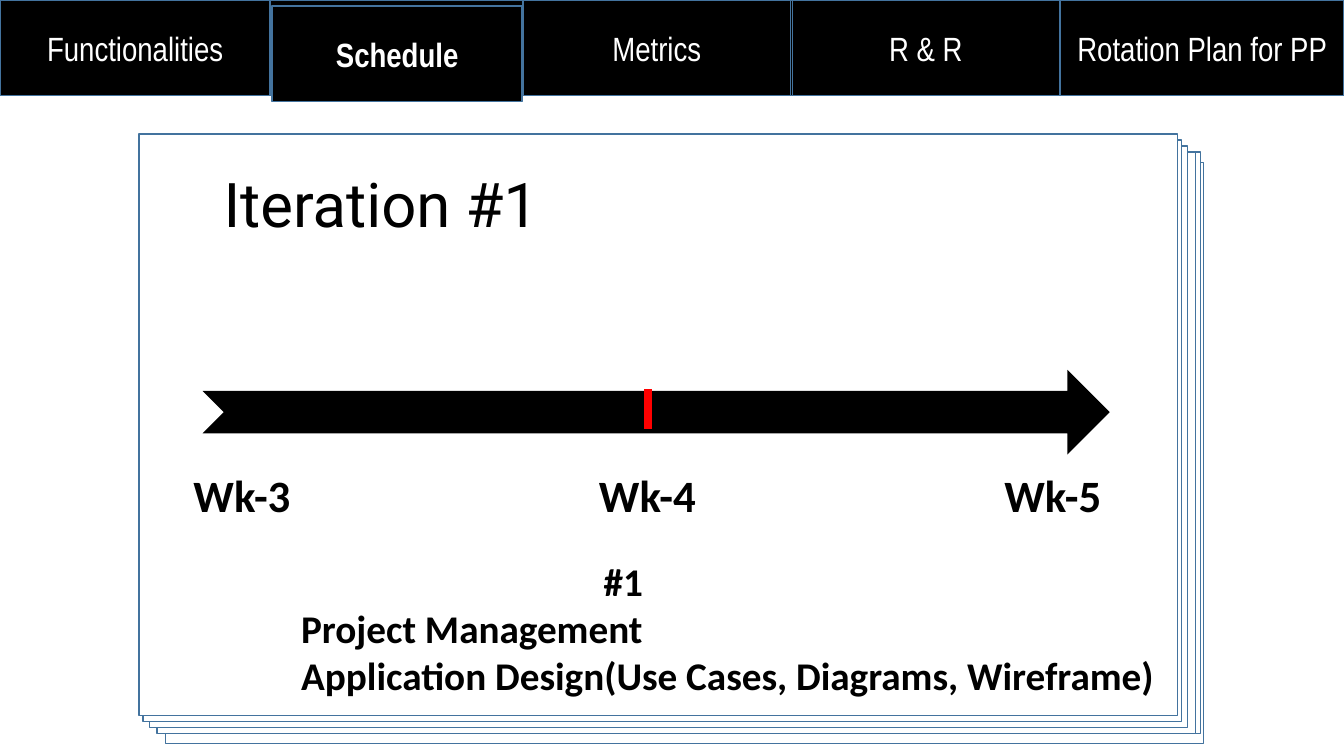
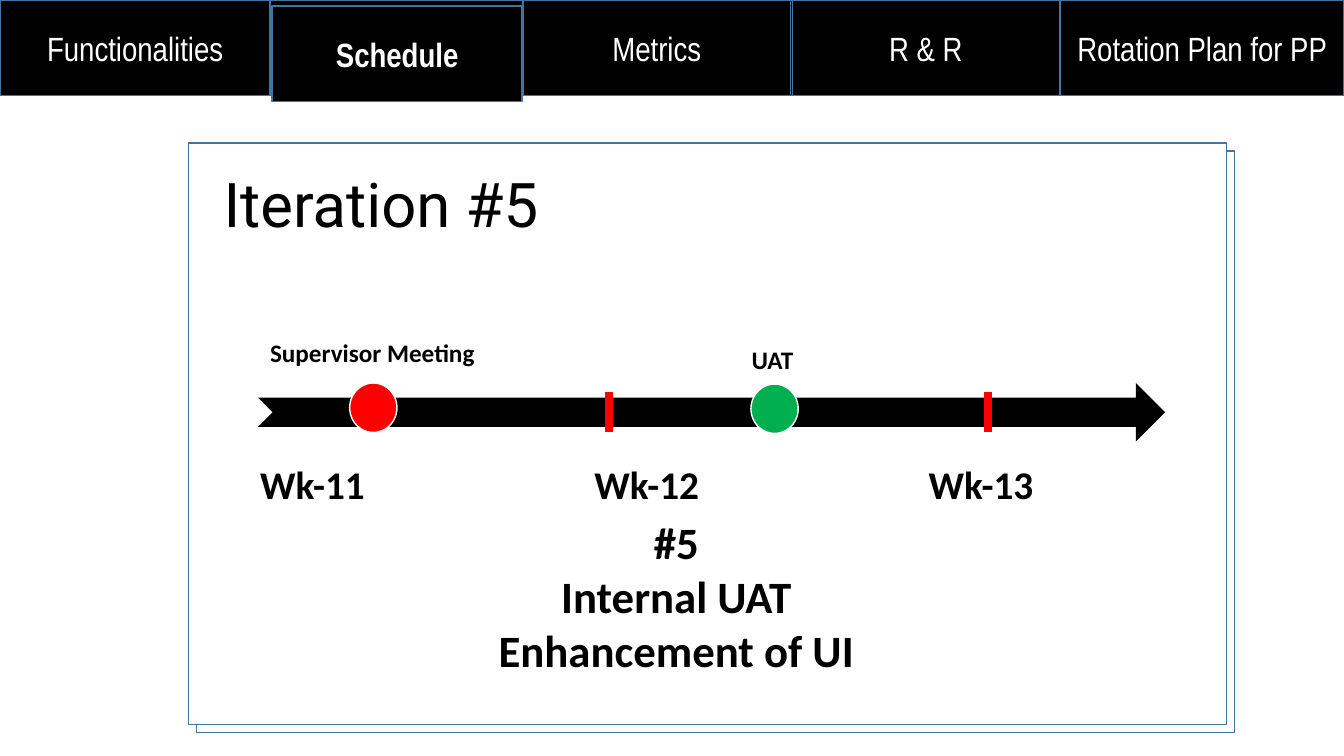
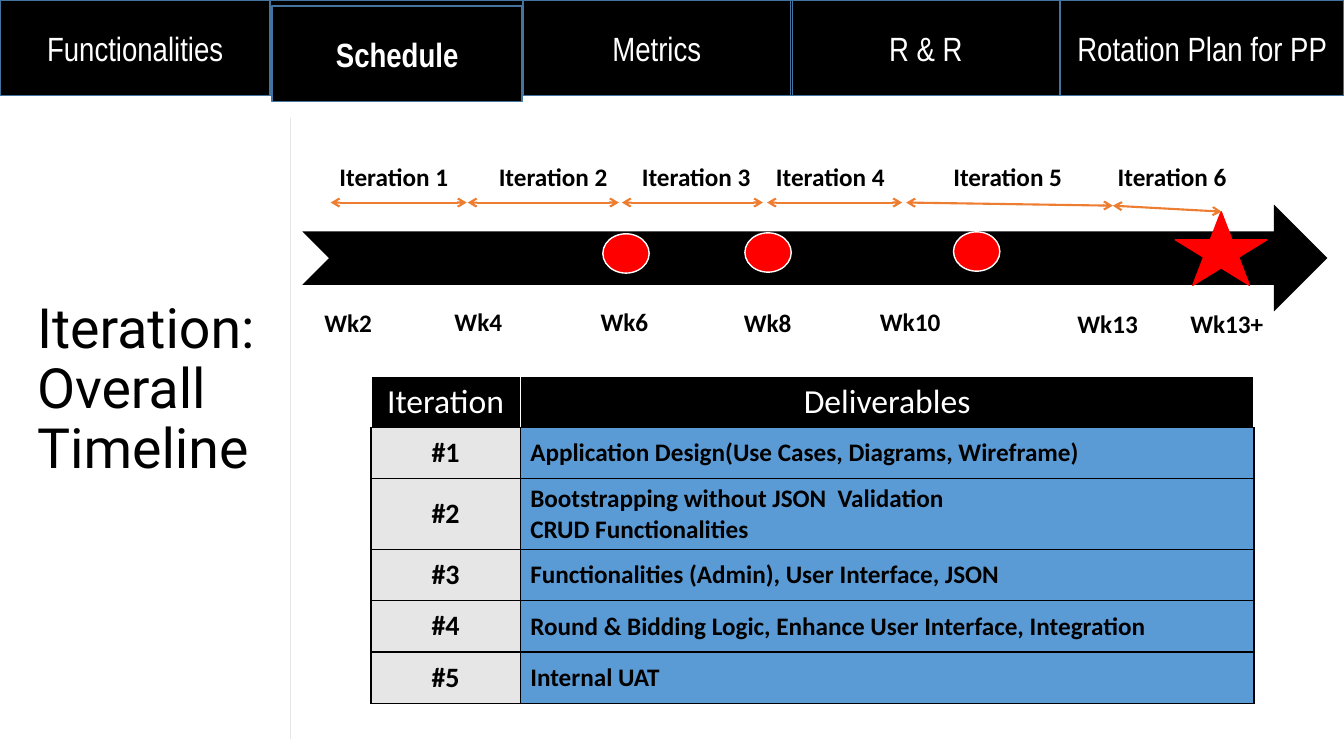
import pptx
import pptx.chart.data
import pptx.dml.color
import pptx.enum.shapes
import pptx.enum.text
import pptx.oxml.ns
import pptx.util
from lxml import etree

Pt = pptx.util.Pt
rgb = pptx.dml.color.RGBColor.from_string
qn = pptx.oxml.ns.qn
SHAPE = pptx.enum.shapes.MSO_SHAPE
ALIGN = pptx.enum.text.PP_ALIGN
ANCHOR = pptx.enum.text.MSO_ANCHOR

BLACK, WHITE, RED, GREEN = "000000", "FFFFFF", "FF0000", "00B050"
OUTLINE, ORANGE, BLUE, GREY = "43739E", "ED7D31", "5B9BD5", "E7E6E6"
BODY = {"name": "Calibri", "bold": True}
HEADING = {"name": "Roboto", "bold": False}
TAB = {"name": "Arial Narrow", "bold": False}


def write(frame, lines, size, style=BODY, color=BLACK, align=ALIGN.LEFT, spacing=None):
    for number, line in enumerate(lines):
        paragraph = frame.add_paragraph() if number else frame.paragraphs[0]
        paragraph.alignment = align
        paragraph.line_spacing = spacing
        run = paragraph.add_run()
        run.text = line
        for key, value in {**style, "size": Pt(size)}.items():
            setattr(run.font, key, value)
        run.font.color.rgb = rgb(color)


def put(slide, kind, box, fill=None, line=None, lines=(), anchor=ANCHOR.TOP, **text):
    place = [Pt(length) for length in box]
    if kind is None:
        shape = slide.shapes.add_textbox(*place)
    else:
        shape = slide.shapes.add_shape(kind, *place)
        shape.shadow.inherit = False
        shape.fill.solid()
        shape.fill.fore_color.rgb = rgb(fill)
        if line:
            shape.line.color.rgb = rgb(line)
            shape.line.width = Pt(1)
        else:
            shape.line.fill.background()
    if lines:
        shape.text_frame.word_wrap = True
        shape.text_frame.vertical_anchor = anchor
        write(shape.text_frame, lines, **text)
    return shape


deck = pptx.Presentation()
deck.slide_width, deck.slide_height = Pt(960), Pt(540)

# Shared parts: stacked cards, navigation band, title
tabs = [
    ("Functionalities", 0, 193),
    ("Schedule", 194.4, 178.6),
    ("Metrics", 373.7, 190.8),
    ("R & R", 565.9, 190.8),
    ("Rotation Plan for PP", 757.4, 202.6),
]
title_box = (152.6, 95.8, 620.6, 104.4)
pages = [
    (["Iteration #1"], title_box, 44,
     [(118.1, 115.9), (115.9, 108.7), (112.3, 108.7),
      (106.6, 104.4), (102.2, 100.1), (99.4, 95.8)]),
    (["Iteration #5"], title_box, 44, [(140.4, 108), (134.6, 102.2)]),
    (["Iteration:", "Overall Timeline"], (19.4, 226.8, 251.3, 104.4), 39.6, []),
]
for title, box, size, cards in pages:
    slide = deck.slides.add_slide(deck.slide_layouts[6])
    for left, top in cards:
        put(slide, SHAPE.RECTANGLE, (left, top, 741.6, 415.4), WHITE, OUTLINE)
    put(slide, SHAPE.RECTANGLE, (0, 0, 960, 68.4), BLACK, OUTLINE)
    for label, left, width in tabs:
        active = label == "Schedule"
        put(slide, SHAPE.RECTANGLE, (left, 4.3 if active else 0, width, 68.4),
            BLACK, OUTLINE, [label], ANCHOR.MIDDLE, size=24,
            style={**TAB, "bold": active}, color=WHITE, align=ALIGN.CENTER)
    put(slide, None, box, lines=title, anchor=ANCHOR.MIDDLE, size=size,
        style=HEADING, spacing=0.9)

first, fifth, overall = deck.slides

# Timeline arrows
for slide, box in [
    (first, (144.7, 264.2, 648, 60.5)),
    (fifth, (184.3, 273.6, 648, 41.8)),
    (overall, (216, 146.2, 732.2, 76.3)),
]:
    put(slide, SHAPE.NOTCHED_RIGHT_ARROW, box, BLACK)

# Milestones
put(overall, SHAPE.STAR_5_POINT, (839.5, 151.2, 65.5, 52.6), RED, RED)
for slide, left, top, width, height, color in [
    (fifth, 249.8, 273.6, 33.8, 35.3, RED),
    (fifth, 536.4, 274.3, 33.8, 35.3, GREEN),
    (overall, 430.6, 167, 33.1, 28.1, RED),
    (overall, 532.1, 166.3, 33.1, 28.1, RED),
    (overall, 681.1, 165.6, 33.1, 28.1, RED),
]:
    put(slide, SHAPE.OVAL, (left, top, width, height), color, WHITE)

# Week rows under the iteration arrows
for slide, weeks, left, top, column, height, size in [
    (first, ["Wk-3", "Wk-4", "Wk-5"], 131, 331.9, 221, 45.4, 32),
    (fifth, ["Wk-11", "Wk-12", "Wk-13"], 178.6, 326.2, 188.9, 41, 28),
]:
    week_row = slide.shapes.add_table(
        1, 3, Pt(left), Pt(top), Pt(3 * column), Pt(height)).table
    week_row.first_row = week_row.horz_banding = False
    for cell, week, align in zip(
            week_row.iter_cells(), weeks, (ALIGN.LEFT, ALIGN.CENTER, ALIGN.RIGHT)):
        cell.fill.background()
        write(cell.text_frame, [week], size, align=align)

# Iteration contents
goals = put(first, None, (208.1, 394.6, 630.7, 108.7), size=28, lines=[
    "#1", "Project Management", "Application Design(Use Cases, Diagrams, Wireframe)"])
goals.text_frame.paragraphs[0]._p.get_or_add_pPr().set("marL", str(Pt(216)))
put(fifth, None, (347.8, 364.3, 270.7, 152.6), size=32, align=ALIGN.CENTER,
    lines=["#5", "Internal UAT", "Enhancement of UI"])

# Small labels around the arrows
for slide, label, left, top, width in [
    (fifth, "Supervisor Meeting", 185.8, 237.6, 170),
    (fifth, "UAT", 529.9, 242.6, 50),
    (overall, "Wk2", 224.6, 216, 70),
    (overall, "Wk4", 317.5, 215.3, 70),
    (overall, "Wk6", 421.9, 215.3, 70),
    (overall, "Wk8", 524.2, 216, 70),
    (overall, "Wk10", 621.4, 215.3, 70),
    (overall, "Wk13", 762.5, 216.7, 70),
    (overall, "Wk13+", 843.1, 216.7, 70),
    (overall, "Iteration 1", 235.4, 111.6, 100),
    (overall, "Iteration 2", 349.2, 111.6, 100),
    (overall, "Iteration 3", 451.4, 111.6, 100),
    (overall, "Iteration 4", 547.2, 111.6, 100),
    (overall, "Iteration 5", 673.9, 111.6, 100),
    (overall, "Iteration 6", 791.3, 112, 100),
]:
    put(slide, None, (left, top, width, 28.8), lines=[label], size=18)

# Week ticks, divider and iteration spans
spans = [
    (236.2, 144.7, 333.4, 144.7), (334.1, 144.7, 442.1, 144.7),
    (444.2, 144.7, 545, 144.7), (547.9, 144.7, 644.4, 144.7),
    (647.3, 144.7, 794.9, 146.9), (794.9, 146.9, 872.6, 151.2),
]
for slide, ends, color, width, arrows in [
    (first, (463, 277.9, 463, 306.7), RED, 6, False),
    (fifth, (434.9, 280.1, 434.9, 308.9), RED, 6, False),
    (fifth, (705.6, 280.1, 705.6, 308.9), RED, 6, False),
    (overall, (207.4, 84.2, 207.4, 527.8), GREY, 0.5, False),
    *[(overall, span, ORANGE, 1.5, True) for span in spans],
]:
    rule = slide.shapes.add_connector(
        pptx.enum.shapes.MSO_CONNECTOR.STRAIGHT, *[Pt(length) for length in ends])
    rule.line.color.rgb = rgb(color)
    rule.line.width = Pt(width)
    if arrows:
        for end in ("a:headEnd", "a:tailEnd"):
            etree.SubElement(rule.line._get_or_add_ln(), qn(end), type="arrow")
    etree.SubElement(rule._element.spPr, qn("a:effectLst"))

# Deliverables table
deliverables = [
    ("Iteration", ["Deliverables"]),
    ("#1", ["Application Design(Use Cases, Diagrams, Wireframe)"]),
    ("#2", ["Bootstrapping without JSON  Validation", "CRUD Functionalities"]),
    ("#3", ["Functionalities (Admin), User Interface, JSON"]),
    ("#4", ["Round & Bidding Logic, Enhance User Interface, Integration"]),
    ("#5", ["Internal UAT"]),
]
plan = overall.shapes.add_table(
    len(deliverables), 2, Pt(265), Pt(268.6), Pt(630.8), Pt(231)).table
plan.horz_banding = False
plan.columns[0].width, plan.columns[1].width = Pt(106.6), Pt(524.2)
for index, (iteration, items) in enumerate(deliverables):
    header = index == 0
    plan.rows[index].height = Pt(36.7 if len(items) == 1 else 47.5)
    for column, lines in enumerate(([iteration], items)):
        cell = plan.cell(index, column)
        cell.vertical_anchor = ANCHOR.MIDDLE
        for side in "LRTB":
            edge = etree.SubElement(
                cell._tc.get_or_add_tcPr(), qn("a:ln" + side), w=str(Pt(1)))
            paint = etree.SubElement(edge, qn("a:solidFill"))
            etree.SubElement(paint, qn("a:srgbClr"),
                             val=WHITE if header and side != "B" else BLACK)
        cell.fill.solid()
        cell.fill.fore_color.rgb = rgb(BLACK if header else (GREY, BLUE)[column])
        write(cell.text_frame, lines, 24 if header else (20, 18)[column],
              style={**BODY, "bold": not header},
              color=WHITE if header else BLACK,
              align=ALIGN.CENTER if header or column == 0 else ALIGN.LEFT)

deck.save("out.pptx")
